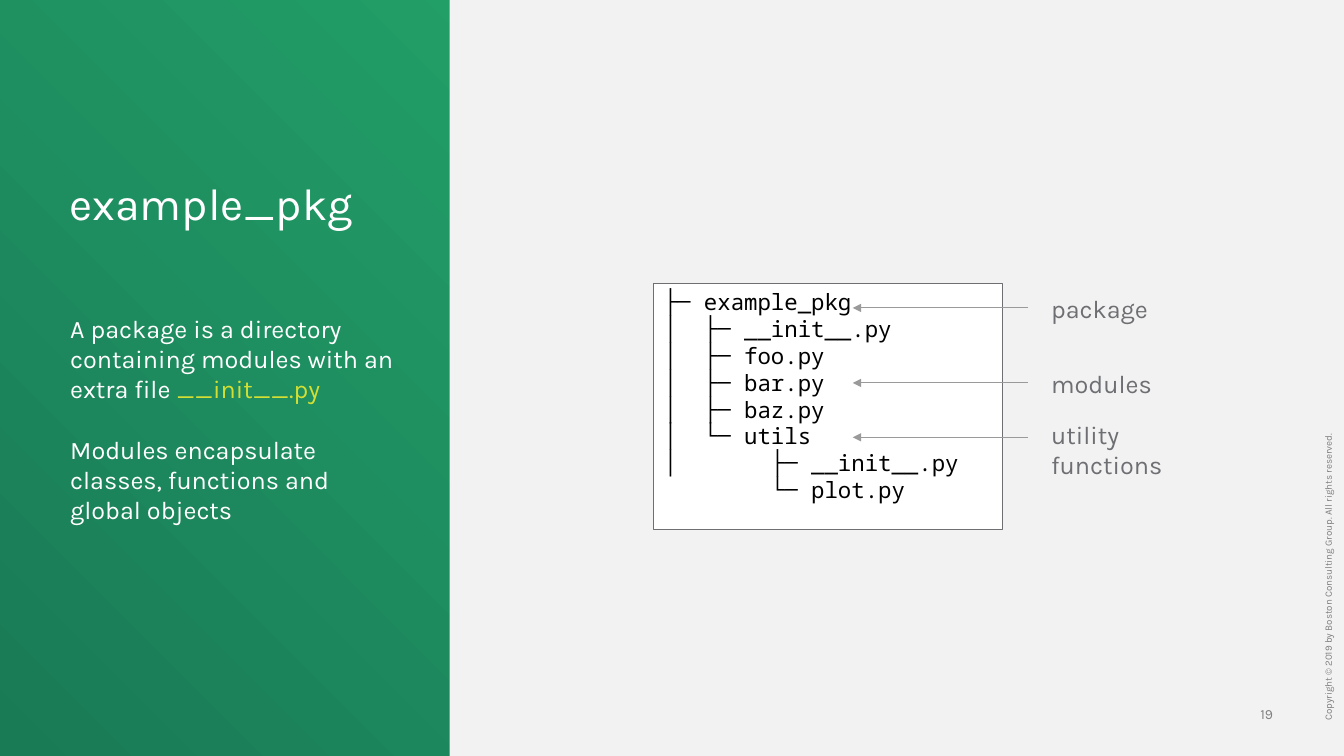
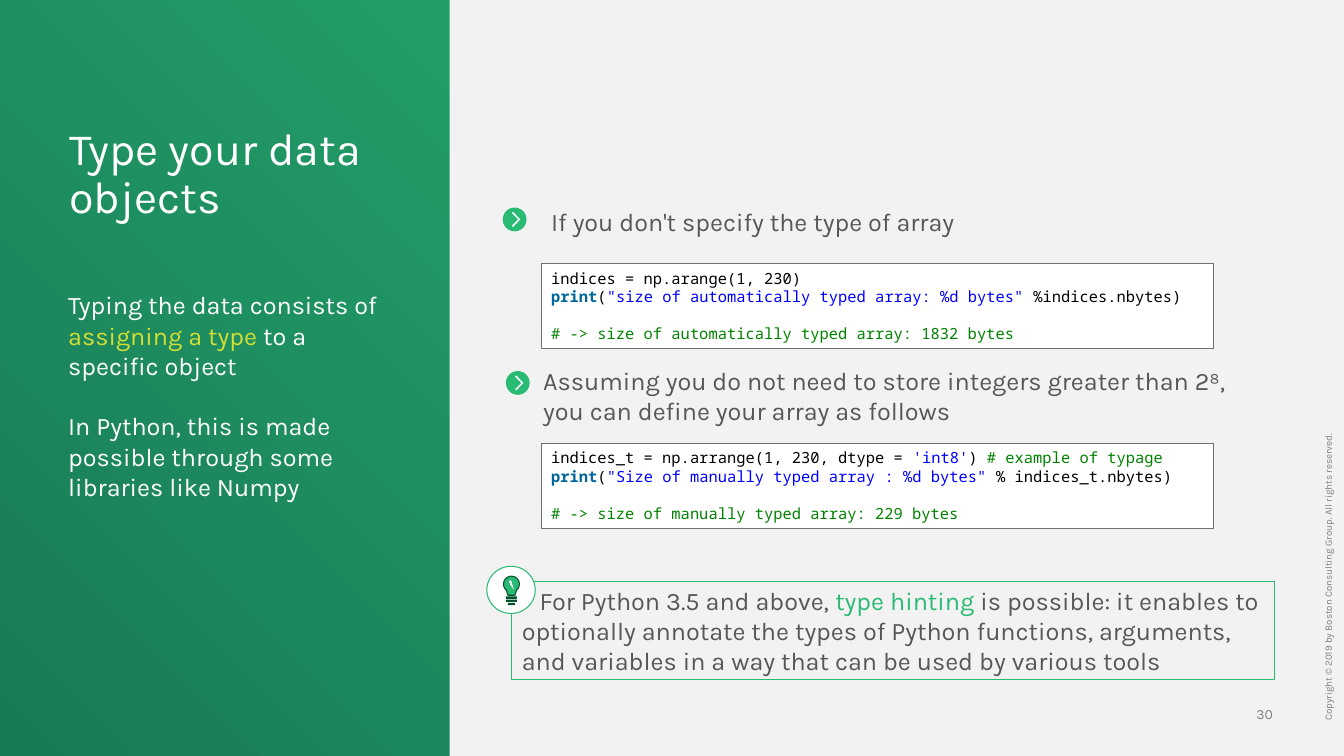
from math import cos, radians, sin

from lxml.etree import SubElement
from pptx import Presentation
from pptx.dml.color import RGBColor as Rgb
from pptx.enum.shapes import MSO_CONNECTOR as Link, MSO_SHAPE as Kind
from pptx.enum.text import MSO_ANCHOR as Anchor, PP_ALIGN as Align
from pptx.oxml.ns import qn
from pptx.util import Cm, Pt

HUES = {
    "green": "29BA74", "deep": "197A56", "dark": "03522D", "lime": "D4DF33",
    "white": "FFFFFF", "panel": "F2F2F2", "ink": "575757", "gray": "6E6F73",
    "foot": "808080", "arrow": "9A9A9A", "black": "000000",
    "key": "006699", "str": "0000FF", "note": "008200",
}
SANS, MONO = "Karla", "Noto Sans Mono"
WIDE, HIGH, EDGE = 33.87, 19.05, 11.33
FOOT = "Copyright © 2019 by Boston Consulting Group. All rights reserved."


def hue(name):
    return Rgb.from_string(HUES[name])


class Deck:
    """Holds the style and the slide being filled."""

    def __init__(self):
        self.prs = Presentation()
        self.prs.slide_width, self.prs.slide_height = Cm(WIDE), Cm(HIGH)
        fill = self.prs.slide_master.background.fill
        fill.gradient()
        fill.gradient_angle = 225
        for stop, name in zip(fill.gradient_stops, ("green", "deep")):
            stop.color.rgb = hue(name)

    def page(self, num, title, high, body, left, top, tall):
        """Start a slide with panel, footers, title and side text."""
        self.slide = self.prs.slides.add_slide(self.prs.slide_layouts[6])
        self.shapes = self.slide.shapes
        self.shape(Kind.RECTANGLE, EDGE, 0, WIDE - EDGE, HIGH, "panel")
        side = self.text([FOOT], 26.37, 10.9, 14.25, 0.28, 7, "foot",
                         pad=0, anchor=Anchor.TOP, lead=0.9)
        side.rotation = 270
        mark = self.text([num], 31.01, 17.78, 1.07, 0.43, 10, "foot",
                         pad=0, anchor=Anchor.BOTTOM)
        mark.text_frame.paragraphs[0].alignment = Align.RIGHT
        self.text([title], 1.75, 5.78 - high, 8.69, high, 32, "white",
                  pad=0, lead=0.9)
        self.text(body, left, top, 8.79, tall, 18, "white", gap=21.6)

    def paint(self, item, fill=None, line=None):
        item.shadow.inherit = False
        if fill:
            item.fill.solid()
            item.fill.fore_color.rgb = hue(fill)
        else:
            item.fill.background()
        if line:
            item.line.color.rgb = hue(line)
            item.line.width = Pt(0.75)
        else:
            item.line.fill.background()
        return item

    def shape(self, kind, x, y, w, h, fill=None, line=None):
        item = self.shapes.add_shape(kind, Cm(x), Cm(y), Cm(w), Cm(h))
        return self.paint(item, fill, line)

    def outline(self, points, fill, line=None):
        """Draw a closed polygon through points given in cm."""
        dots = [(Cm(x), Cm(y)) for x, y in points]
        pen = self.shapes.build_freeform(*dots[0])
        pen.add_line_segments(dots[1:], close=True)
        return self.paint(pen.convert_to_shape(), fill, line)

    def put(self, frame, rows, size, tint, font=SANS, gap=0, lead=None):
        """Fill a frame; a row is a string or a list of (text, colour).

        The gap, in points, comes before the last row."""
        frame.word_wrap = True
        for i, row in enumerate(rows):
            para = frame.add_paragraph() if i else frame.paragraphs[0]
            para.alignment = Align.LEFT
            if lead:
                para.line_spacing = lead
            if isinstance(row, str):
                row = [(row, tint)]
            for words, name in row:
                run = para.add_run()
                run.text = words
                run.font.name, run.font.size = font, Pt(size)
                run.font.color.rgb = hue(name)
                run.font.bold = name == "key"
                east = SubElement(run.font._element, qn("a:ea"))
                east.set("typeface", font)
        if gap:
            para.space_before = Pt(gap)

    def text(self, rows, x, y, w, h, size, tint, pad=None,
             anchor=Anchor.MIDDLE, gap=0, lead=None):
        box = self.shapes.add_textbox(Cm(x), Cm(y), Cm(w), Cm(h))
        frame = box.text_frame
        frame.vertical_anchor = anchor
        if pad is not None:
            frame.margin_left = frame.margin_right = Cm(pad)
            frame.margin_top = frame.margin_bottom = Cm(pad)
        self.put(frame, rows, size, tint, gap=gap, lead=lead)
        return box

    def code(self, rows, x, y, w, h, size, gap=0):
        box = self.shape(Kind.RECTANGLE, x, y, w, h, "white", "gray")
        box.text_frame.vertical_anchor = Anchor.TOP
        self.put(box.text_frame, rows, size, "black", MONO, gap)

    def arrow(self, x, y, end):
        line = self.shapes.add_connector(
            Link.STRAIGHT, Cm(x), Cm(y), Cm(end), Cm(y))
        line.line.color.rgb = hue("arrow")
        line.line.width = Pt(0.75)
        SubElement(line.line._get_or_add_ln(), qn("a:tailEnd")).set(
            "type", "triangle")
        SubElement(line._element.spPr, qn("a:effectLst"))

    def bullet(self, x, y):
        """Draw a green disc with a thin white chevron."""
        self.shape(Kind.OVAL, x, y, 0.6, 0.6, "green")
        hook = [(0.03, 0), (0, 0.03), (0.16, 0.19), (0, 0.35),
                (0.03, 0.38), (0.21, 0.19)]
        self.outline([(x + 0.23 + a, y + 0.11 + b) for a, b in hook], "white")

    def bulb(self, x, y):
        """Draw a light bulb in a ring whose top left is x, y."""
        self.shape(Kind.OVAL, x, y, 1.22, 1.19, "white", "green")
        mid, top = x + 0.62, y + 0.45
        arc = [(mid + 0.2 * cos(radians(a)), top + 0.2 * sin(radians(a)))
               for a in range(130, 411, 10)]
        neck = [(mid + 0.09, top + 0.28), (mid - 0.09, top + 0.28)]
        self.outline(arc + neck, "green", "dark")
        self.shape(Kind.LIGHTNING_BOLT, mid - 0.07, top - 0.1, 0.14, 0.24,
                   "white")
        for i, w in enumerate((0.28, 0.28, 0.18)):
            self.shape(Kind.ROUNDED_RECTANGLE, mid - w / 2,
                       top + 0.31 + 0.08 * i, w, 0.06, "dark")

    def callout(self, row, x, y, w, h):
        box = self.shape(Kind.RECTANGLE, x, y, w, h, line="green")
        frame = box.text_frame
        frame.vertical_anchor = Anchor.MIDDLE
        self.put(frame, [row], 18, "ink")
        props = frame.paragraphs[0]._p.get_or_add_pPr()
        props.set("indent", str(Cm(0.45)))


def tree(deck):
    deck.page("19", "example_pkg", 1.17, [
        [("A package is a directory containing modules with an extra file ",
          "white"), ("__init__.py", "lime")],
        "Modules encapsulate classes, functions and global objects",
    ], 1.52, 7.99, 5.13)
    deck.code([
        "├─ example_pkg",
        "│  ├─ __init__.py",
        "│  ├─ foo.py",
        "│  ├─ bar.py",
        "│  ├─ baz.py",
        "│  └─ utils",
        "│       ├─ __init__.py",
        "        └─ plot.py",
    ], 16.48, 7.14, 8.79, 6.2, 16)
    for rows, top, y in ((["package"], 7.14, 7.76),
                         (["modules"], 9.02, 9.65),
                         (["utility", "functions"], 10.69, 11.02)):
        deck.text(rows, 26.24, top, 5.11, 1.27, 18, "gray")
        deck.arrow(25.91, y, 21.49)


def typing(deck):
    deck.page("30", "Type your data objects", 2.74, [
        [("Typing the data consists of ", "white"),
         ("assigning a type ", "lime"), ("to a specific object", "white")],
        "In Python, this is made possible through some libraries like Numpy",
    ], 1.47, 7.01, 5.92)
    deck.text(["If you don't specify the type of array"],
              13.64, 4.17, 18.36, 2.82, 18, "ink")
    deck.text(["Assuming you do not need to store integers greater than 2⁸, "
               "you can define your array as follows"],
              13.44, 8.56, 18.36, 2.82, 18, "ink")
    first = [
        "indices = np.arange(1, 230)",
        [("print", "key"), ("(", "black"),
         ('"size of automatically typed array: %d bytes"', "str"),
         (" %indices.nbytes)", "black")],
        [("# -> size of automatically typed array: 1832 bytes", "note")],
    ]
    second = [
        [("indices_t = np.arrange(1, 230, dtype = ", "black"),
         ("'int8'", "str"), (") ", "black"), ("# example of typage", "note")],
        [("print", "key"), ("(", "black"),
         ('"Size of manually typed array : %d bytes"', "str"),
         (" % indices_t.nbytes)", "black")],
        [("# -> size of manually typed array: 229 bytes", "note")],
    ]
    for rows, top in ((first, 6.65), (second, 11.18)):
        deck.code(rows, 13.64, top, 16.94, 2.13, 11, gap=13.2)
    deck.bullet(12.67, 5.23)
    deck.bullet(12.75, 9.35)
    deck.callout([
        ("For Python 3.5 and above, ", "ink"), ("type hinting ", "green"),
        ("is possible: it enables to optionally annotate the types of Python "
         "functions, arguments, and variables in a way that can be used by "
         "various tools", "ink"),
    ], 12.9, 14.66, 19.23, 2.46)
    deck.bulb(12.27, 14.27)


def main():
    deck = Deck()
    tree(deck)
    typing(deck)
    deck.prs.save("out.pptx")


if __name__ == "__main__":
    main()
